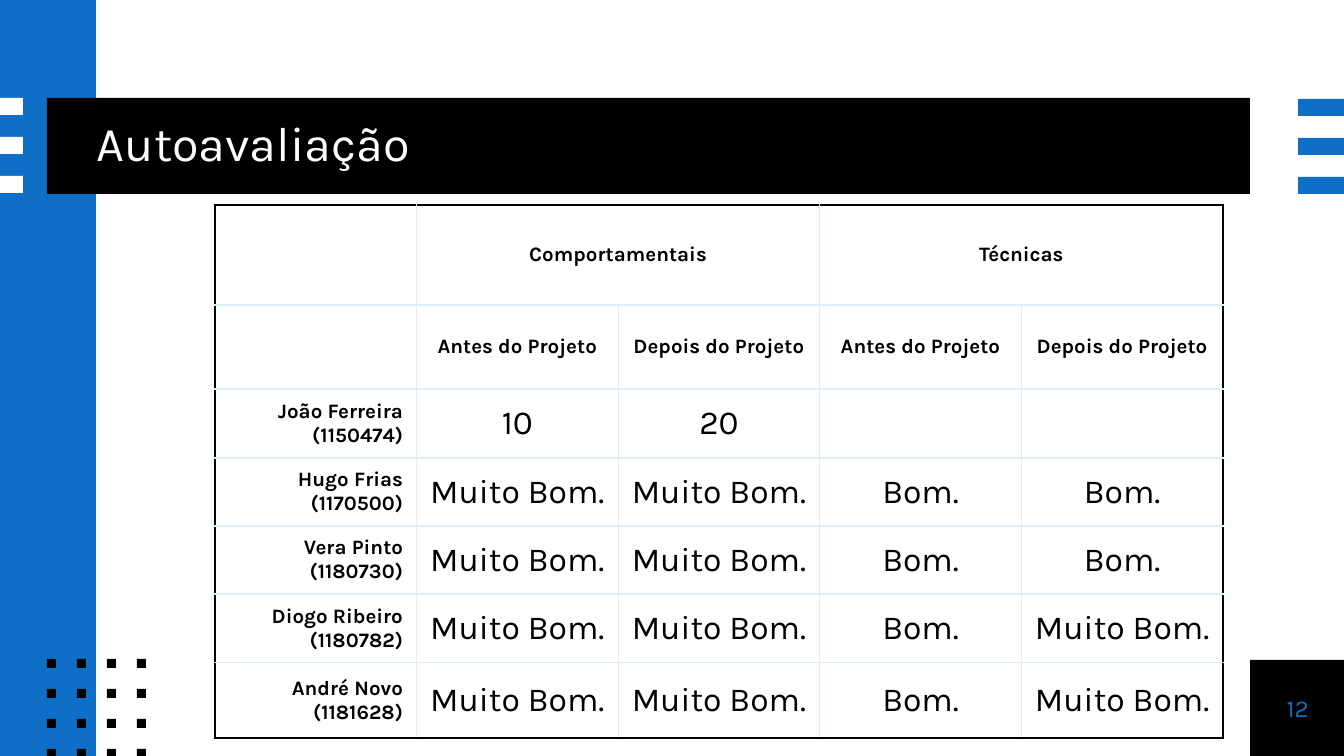
"""Build the self-assessment slide with its table of ratings."""
from lxml import etree
from pptx import Presentation
from pptx import util as u
from pptx.dml import color
from pptx.enum import shapes, text
from pptx.oxml import ns

PX = 914400 / 134.4
COLORS = {"blue": "0F6FC6", "black": "000000", "white": "FFFFFF", "pale": "DBEFF9"}
LEFT, CENTER, RIGHT = text.PP_ALIGN.LEFT, text.PP_ALIGN.CENTER, text.PP_ALIGN.RIGHT


def px(*lengths):
    return [u.Emu(round(n * PX)) for n in lengths]


def write(tf, words, size, fill, align, bold=False):
    p = tf.paragraphs[0]
    p.alignment = align
    r = p.add_run()
    r.text = words
    for name, value in {"name": "Karla", "size": u.Pt(size), "bold": bold}.items():
        setattr(r.font, name, value)
    r.font.color.rgb = color.RGBColor.from_string(COLORS[fill])
    return p


prs = Presentation()
prs.slide_width, prs.slide_height = px(1344, 756)
s = prs.slides.add_slide(prs.slide_layouts[6])

blocks = [
    (1250, 660, 95, 96, "black"),
    (0, 0, 96, 756, "blue"),
    (47, 98, 1203, 96, "black"),
]
blocks += [(0, 98 + 39 * i, 23, 17, "white") for i in range(3)]
blocks += [(1298, 99 + 39 * i, 46, 17, "blue") for i in range(3)]
blocks += [(47 + 30 * i, 659 + 30 * j, 9, 9, "black") for j in range(4) for i in range(4)]
for *box, fill in blocks:
    sp = s.shapes.add_shape(shapes.MSO_SHAPE.RECTANGLE, *px(*box))
    sp.shadow.inherit = False
    sp.fill.solid()
    sp.fill.fore_color.rgb = color.RGBColor.from_string(COLORS[fill])
    sp.line.fill.background()

labels = [
    ((97, 98, 1153, 96), "Autoavaliação", 26, "white", LEFT, 0.9),
    ((1250, 660, 95, 96), "12", 13, "blue", CENTER, 1.0),
]
frame = {"word_wrap": True, "vertical_anchor": text.MSO_ANCHOR.MIDDLE, "margin_left": 0,
         "margin_right": 0, "margin_top": 0, "margin_bottom": 0}
for box, words, size, fill, align, spacing in labels:
    tf = s.shapes.add_textbox(*px(*box)).text_frame
    for name, value in frame.items():
        setattr(tf, name, value)
    write(tf, words, size, fill, align).line_spacing = spacing

good, very_good = "Bom.", "Muito Bom."
rows = [
    ["", "Comportamentais", "", "Técnicas", ""],
    [""] + ["Antes do Projeto", "Depois do Projeto"] * 2,
    ["João Ferreira (1150474)", "10", "20", "", ""],
    ["Hugo Frias (1170500)", very_good, very_good, good, good],
    ["Vera Pinto (1180730)", very_good, very_good, good, good],
    ["Diogo Ribeiro (1180782)", very_good, very_good, good, very_good],
    ["André Novo (1181628)", very_good, very_good, good, very_good],
]
heights = [100, 84, 69, 68, 68, 68, 76]
table = s.shapes.add_table(len(rows), 5, *px(215, 205, 1008, sum(heights))).table
table.first_row = table.horz_banding = False
for row, height in zip(table.rows, px(*heights)):
    row.height = height
for c in (1, 3):
    table.cell(0, c).merge(table.cell(0, c + 1))

cell_format = {"vertical_anchor": text.MSO_ANCHOR.MIDDLE, "margin_left": u.Inches(0.1),
               "margin_right": u.Inches(0.1), "margin_top": u.Inches(0.07),
               "margin_bottom": u.Inches(0.07)}
for i, row in enumerate(rows):
    for j, words in enumerate(row):
        cell = table.cell(i, j)
        for name, value in cell_format.items():
            setattr(cell, name, value)
        cell.fill.background()
        if words:
            heading = i < 2 or j == 0
            write(cell.text_frame, words, 11 if heading else 18, "black",
                  CENTER if j else RIGHT, heading)
        last = j + (cell.span_width if cell.is_merge_origin else 1) == 5
        outer = {"lnL": j == 0, "lnR": last, "lnT": i == 0, "lnB": i == len(rows) - 1}
        tcPr = cell._tc.get_or_add_tcPr()
        for k, (tag, edge) in enumerate(outer.items()):
            ln = etree.Element(ns.qn("a:" + tag), w=str(u.Pt(1 if edge else 0.75)))
            solid = etree.SubElement(ln, ns.qn("a:solidFill"))
            etree.SubElement(solid, ns.qn("a:srgbClr"), val=COLORS["black" if edge else "pale"])
            tcPr.insert(k, ln)

prs.save("out.pptx")
